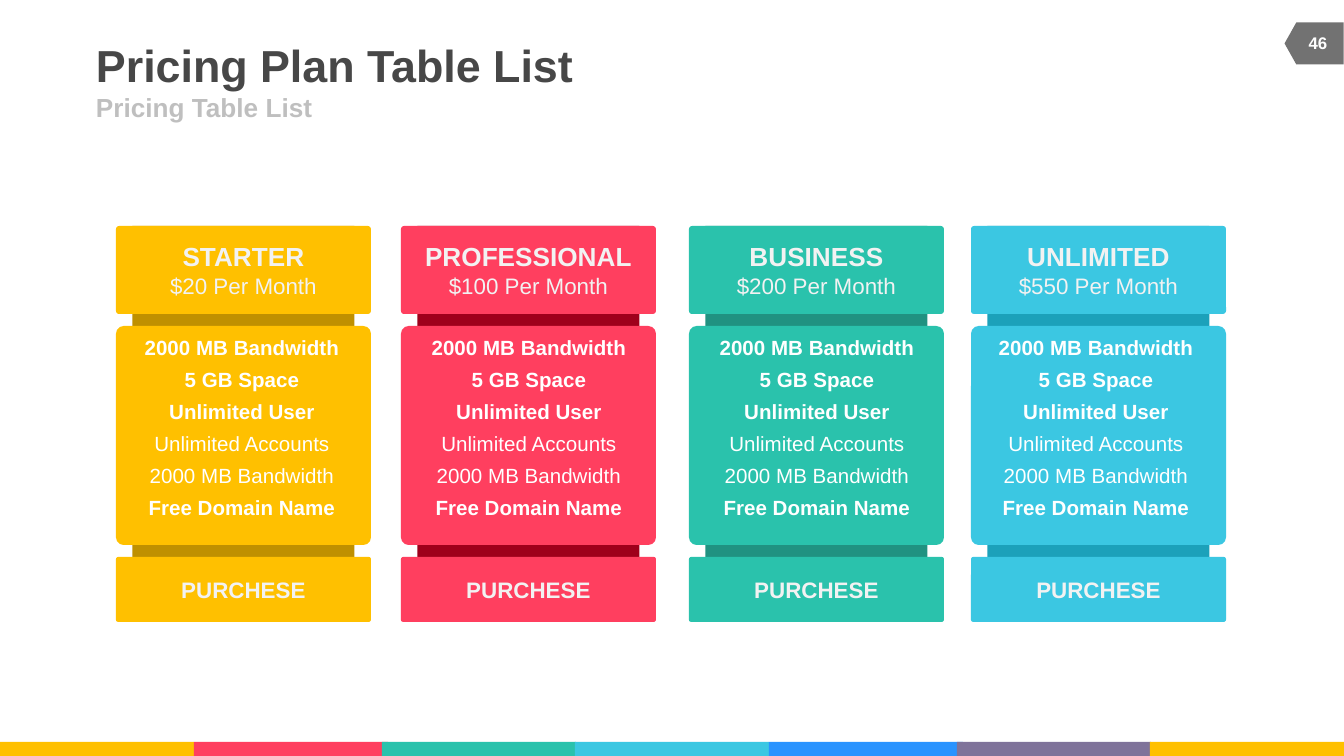
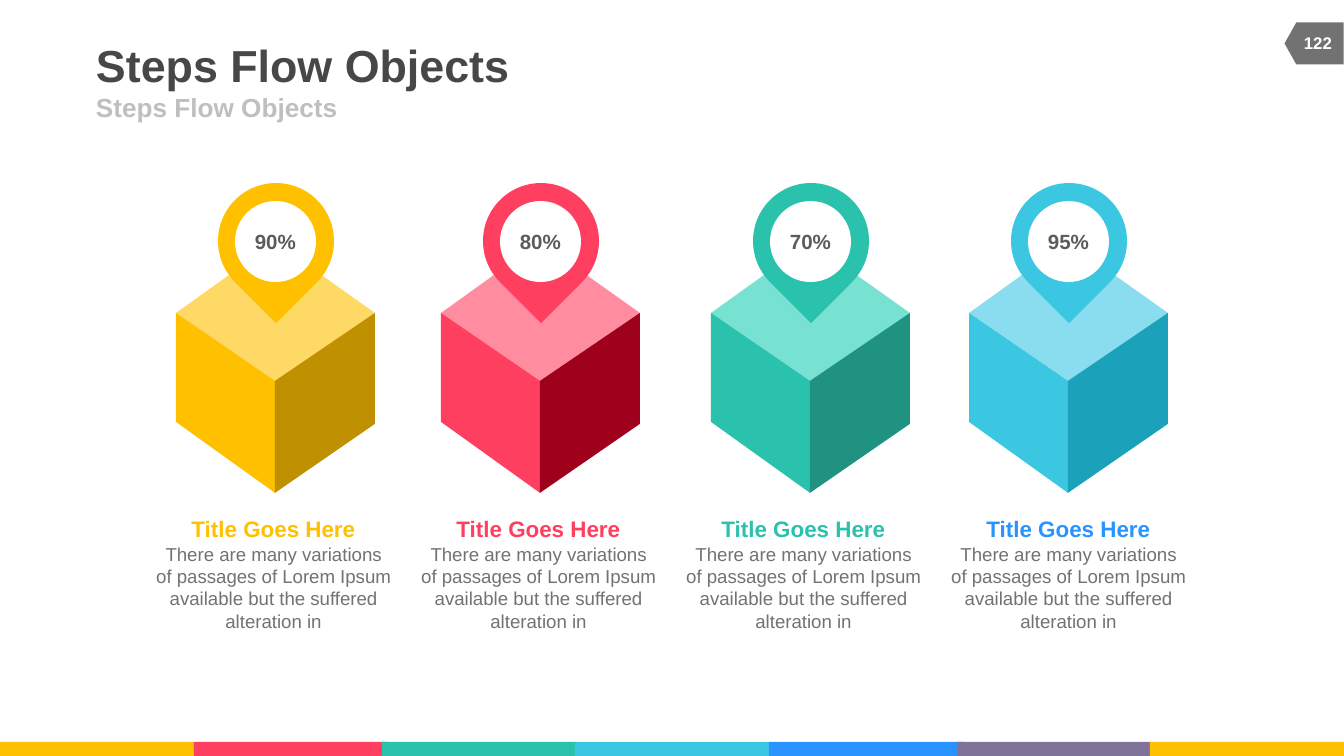
import pptx
import pptx.util
from pptx.dml.color import RGBColor
from pptx.enum.shapes import MSO_SHAPE
from pptx.enum.text import MSO_ANCHOR, MSO_AUTO_SIZE, PP_ALIGN

# Scale: the slide is 1344 x 756 px
SLIDE_W, SLIDE_H = 1344, 756
EMU_PER_PX = pptx.util.Inches(10) / SLIDE_W
FONT = "Arial"

# Colours
YELLOW = RGBColor(0xFF, 0xC0, 0x00)
RED = RGBColor(0xFF, 0x3F, 0x5F)
GREEN = RGBColor(0x2A, 0xC2, 0xAC)
CYAN = RGBColor(0x3B, 0xC7, 0xE2)
BLUE = RGBColor(0x29, 0x93, 0xFF)
PURPLE = RGBColor(0x7F, 0x73, 0x9A)
DARK = {
    YELLOW: RGBColor(0xBF, 0x90, 0x00),
    RED: RGBColor(0x9F, 0x00, 0x1B),
    GREEN: RGBColor(0x20, 0x92, 0x81),
    CYAN: RGBColor(0x1C, 0xA1, 0xBA),
}
LIGHT = {
    YELLOW: RGBColor(0xFF, 0xD9, 0x66),
    RED: RGBColor(0xFF, 0x8C, 0x9F),
    GREEN: RGBColor(0x78, 0xE2, 0xD2),
    CYAN: RGBColor(0x89, 0xDD, 0xEE),
}
WHITE = RGBColor(0xFF, 0xFF, 0xFF)
OFF_WHITE = RGBColor(0xF2, 0xF2, 0xF2)
SILVER = RGBColor(0xBF, 0xBF, 0xBF)
GREY = RGBColor(0x72, 0x72, 0x72)
PERCENT_GREY = RGBColor(0x5C, 0x5C, 0x5C)
TITLE_GREY = RGBColor(0x47, 0x47, 0x47)

# Content: footer stripes as (left, colour)
STRIPES = [(0, YELLOW), (194, RED), (382, GREEN), (575, CYAN),
           (769, BLUE), (957, PURPLE), (1150, YELLOW)]

# Plans: name, price, colour, card left, feature list left
PLANS = [
    ("STARTER", "$20 Per Month", YELLOW, 116, 125),
    ("PROFESSIONAL", "$100 Per Month", RED, 401, 412),
    ("BUSINESS", "$200 Per Month", GREEN, 689, 700),
    ("UNLIMITED", "$550 Per Month", CYAN, 971, 979),
]
FEATURES = [  # text, bold
    ("2000 MB Bandwidth", True),
    ("5 GB Space", True),
    ("Unlimited User", True),
    ("Unlimited Accounts", False),
    ("2000 MB Bandwidth", False),
    ("Free Domain Name", True),
]
BUTTON = "PURCHESE"

# Steps: percentage, colour, heading colour, cube left
STEPS = [
    ("90%", YELLOW, YELLOW, 176),
    ("80%", RED, RED, 441),
    ("70%", GREEN, GREEN, 711),
    ("95%", CYAN, BLUE, 969),
]
STEP_TITLE = "Title Goes Here"
STEP_TEXT = ("There are many variations of passages of Lorem Ipsum "
             "available but the suffered\valteration in")


def px(n):
    return pptx.util.Emu(round(n * EMU_PER_PX))


def paint(sp, color):
    sp.shadow.inherit = False
    sp.fill.solid()
    sp.fill.fore_color.rgb = color
    sp.line.fill.background()
    return sp


def add_shape(s, kind, box, color, radius=None):
    sp = s.shapes.add_shape(kind, *map(px, box))
    if radius is not None:
        sp.adjustments[0] = radius
    return paint(sp, color)


def add_polygon(s, points, color):
    builder = s.shapes.build_freeform(*points[0], scale=EMU_PER_PX)
    builder.add_line_segments(points[1:], close=True)
    return paint(builder.convert_to_shape(), color)


def write(sp, lines, align=PP_ALIGN.CENTER, anchor=MSO_ANCHOR.MIDDLE,
          inset=True, space=0):
    """Fill a shape with lines of (text, size, colour, bold)."""
    tf = sp.text_frame
    tf.word_wrap = True
    tf.auto_size = MSO_AUTO_SIZE.NONE
    tf.vertical_anchor = anchor
    if not inset:
        tf.margin_left = tf.margin_right = tf.margin_top = tf.margin_bottom = 0
    for i, (text, size, color, bold) in enumerate(lines):
        p = tf.add_paragraph() if i else tf.paragraphs[0]
        p.text = text
        p.alignment = align
        p.space_before = pptx.util.Pt(space if i else 0)
        p.font.name = FONT
        p.font.size = pptx.util.Pt(size)
        p.font.bold = bold
        p.font.color.rgb = color


def add_text(s, box, lines, **style):
    write(s.shapes.add_textbox(*map(px, box)), lines, **style)


def add_slide(prs, title, subtitle, number):
    """Title-only slide with stripes, page badge, title and subtitle."""
    s = prs.slides.add_slide(prs.slide_layouts[5])
    for left, color in STRIPES:
        add_shape(s, MSO_SHAPE.RECTANGLE, (left, 742, 194, 14), color)
    badge = add_shape(s, MSO_SHAPE.FLOWCHART_OFFPAGE_CONNECTOR,
                      (1293, 14, 42, 59), GREY)
    badge.rotation = 90
    add_text(s, (1290, 23, 56, 40), [(number, 9, WHITE, True)])

    sp = s.shapes.title
    sp.left, sp.top, sp.width, sp.height = map(px, (96, 39, 829, 52))
    write(sp, [(title, 24, TITLE_GREY, True)], align=PP_ALIGN.LEFT, inset=False)
    add_text(s, (96, 92, 605, 30), [(subtitle, 14, SILVER, True)],
             align=PP_ALIGN.LEFT, inset=False)
    return s


def build_pricing(prs):
    s = add_slide(prs, "Pricing Plan Table List", "Pricing Table List", "46")
    card_w, strap_w = 255, 222
    features = [(text, 11, WHITE, bold) for text, bold in FEATURES]
    for name, price, color, left, list_left in PLANS:
        # Dark strap behind the three cards
        add_shape(s, MSO_SHAPE.RECTANGLE,
                  (left + (card_w - strap_w) / 2, 226, strap_w, 396), DARK[color])
        header, body, button = [
            add_shape(s, MSO_SHAPE.ROUNDED_RECTANGLE,
                      (left, top, card_w, height), color, 0.035)
            for top, height in ((226, 88), (326, 219), (557, 65))]
        write(header, [(name, 14, OFF_WHITE, True),
                       (price, 12, OFF_WHITE, False)], inset=False)
        write(button, [(BUTTON, 12, OFF_WHITE, True)], inset=False)
        add_text(s, (list_left, 328, 234, 200), features,
                 anchor=MSO_ANCHOR.TOP, space=4)


def build_steps(prs):
    s = add_slide(prs, "Steps Flow Objects", "Steps Flow Objects", "122")
    for i, (percent, color, heading, left) in enumerate(STEPS):
        # Cube: top, left and right faces
        mid, right = left + 99, left + 199
        front, base = (mid, 381), (mid, 493)
        add_polygon(s, [(right, 313), front, (left, 313), (mid, 242)], LIGHT[color])
        add_polygon(s, [front, base, (left, 422), (left, 313)], color)
        add_polygon(s, [base, front, (right, 313), (right, 424)], DARK[color])

        # Pin with percentage
        pin = add_shape(s, MSO_SHAPE.TEAR, (left + 42, 183, 116, 116), color)
        pin.rotation = 135
        disc = add_shape(s, MSO_SHAPE.OVAL, (left + 59, 201, 81, 81), WHITE)
        write(disc, [(percent, 11, PERCENT_GREY, True)], inset=False)

        # Caption
        add_text(s, (142 + 265 * i, 509, 263, 132),
                 [(STEP_TITLE, 12, heading, True), (STEP_TEXT, 10, GREY, False)],
                 anchor=MSO_ANCHOR.TOP)


def main():
    prs = pptx.Presentation()
    prs.slide_width, prs.slide_height = px(SLIDE_W), px(SLIDE_H)
    build_pricing(prs)
    build_steps(prs)
    prs.save("out.pptx")


if __name__ == "__main__":
    main()
